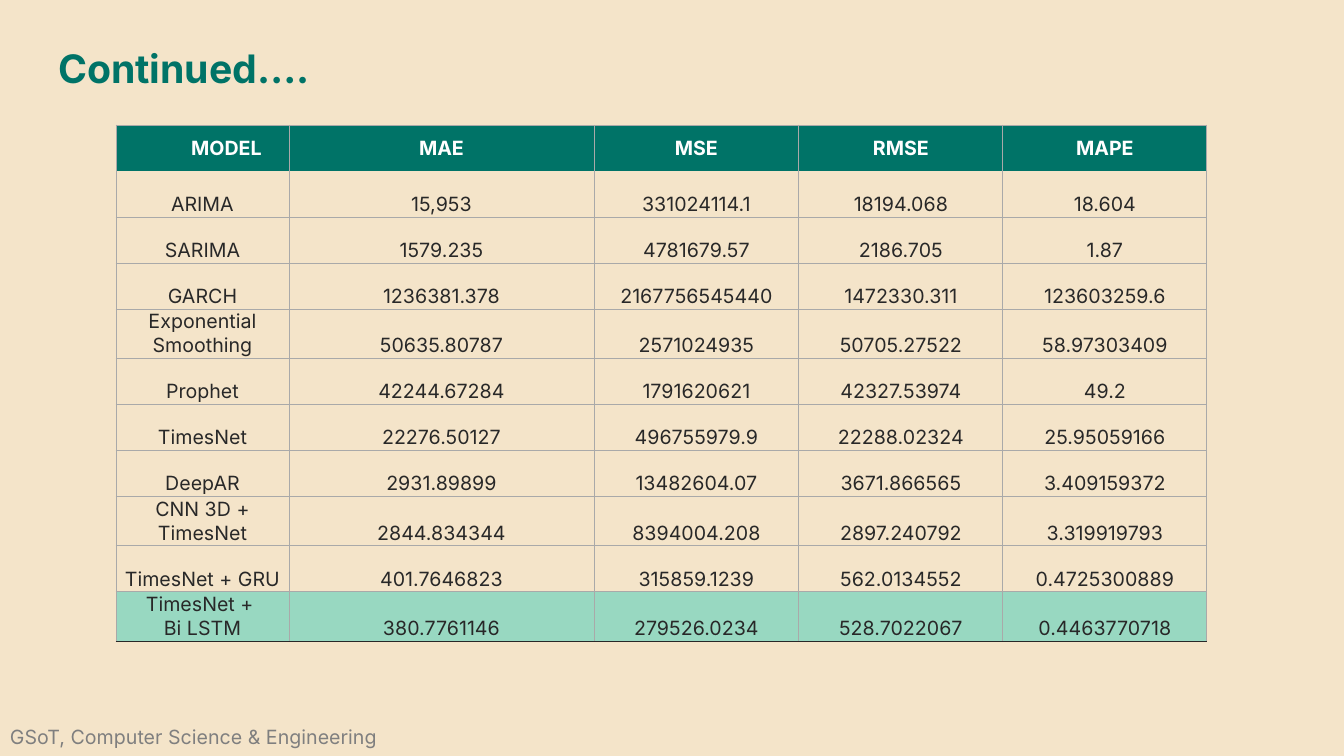
"""Build the slide that compares forecasting models by error metric."""
from lxml import etree
from pptx import Presentation, util as u
from pptx.dml.color import RGBColor
from pptx.enum import text
from pptx.oxml.ns import qn

PX = 914400 / 100.8
THEME = {
    "face": "Inter", "back": "F4E4C9", "green": "007367", "mint": "98D8C1",
    "white": "FFFFFF", "ink": "282828", "rule": "A9A9A9", "grey": "7F7F7F",
    "head": 28, "body": 14,
}


def px(n):
    return round(n * PX)


def style(para, color, size="body", bold=False):
    look = {"name": THEME["face"], "size": u.Pt(THEME[size]), "bold": bold}
    for key, val in look.items():
        setattr(para.font, key, val)
    para.font.color.rgb = RGBColor.from_string(THEME[color])


deck = Presentation()
deck.slide_width, deck.slide_height = px(1344), px(756)
slide = deck.slides.add_slide(deck.slide_layouts[5])
slide.background.fill.solid()
slide.background.fill.fore_color.rgb = RGBColor.from_string(THEME["back"])

title = slide.shapes.title
place = {"left": 48, "top": 45, "width": 1104, "height": 43}
for key, val in place.items():
    setattr(title, key, px(val))
frame = title.text_frame
form = {"text": "Continued….", "word_wrap": True,
        "auto_size": text.MSO_AUTO_SIZE.NONE,
        "vertical_anchor": text.MSO_ANCHOR.TOP}
for key, val in form.items():
    setattr(frame, key, val)
para = frame.paragraphs[0]
para.alignment = text.PP_ALIGN.LEFT
para.line_spacing = 0.9
style(para, "green", "head", True)

rows = [
    ("MODEL", "MAE", "MSE", "RMSE", "MAPE"),
    ("ARIMA", "15,953", "331024114.1", "18194.068", "18.604"),
    ("SARIMA", "1579.235", "4781679.57", "2186.705", "1.87"),
    ("GARCH", "1236381.378", "2167756545440", "1472330.311", "123603259.6"),
    ("Exponential Smoothing", "50635.80787", "2571024935", "50705.27522", "58.97303409"),
    ("Prophet", "42244.67284", "1791620621", "42327.53974", "49.2"),
    ("TimesNet", "22276.50127", "496755979.9", "22288.02324", "25.95059166"),
    ("DeepAR", "2931.89899", "13482604.07", "3671.866565", "3.409159372"),
    ("CNN 3D + TimesNet", "2844.834344", "8394004.208", "2897.240792", "3.319919793"),
    ("TimesNet + GRU", "401.7646823", "315859.1239", "562.0134552", "0.4725300889"),
    ("TimesNet + \nBi LSTM", "380.7761146", "279526.0234", "528.7022067", "0.4463770718"),
]
widths = [173, 305, 205, 204, 204]
last = len(rows) - 1
grid = slide.shapes.add_table(len(rows), len(widths), px(116), px(125),
                              px(sum(widths)), px(46 * len(rows))).table
grid.first_row = grid.horz_banding = False
for col, width in zip(grid.columns, widths):
    col.width = px(width)

for r, row in enumerate(rows):
    grid.rows[r].height = px(46)
    top = r == 0
    fill = "green" if top else "mint" if r == last else "back"
    sides = {"L": "rule", "R": "rule", "T": None if r == 1 else "rule",
             "B": None if top else "ink" if r == last else "rule"}
    for c, value in enumerate(row):
        cell = grid.cell(r, c)
        cell.text = value
        pads = (2, 1, 2, 1)
        if top:
            pads = (12, 6, 12, 6) if c else (48, 0, 0, 0)
        for side, pad in zip(("left", "top", "right", "bottom"), pads):
            setattr(cell, f"margin_{side}", px(pad))
        cell.vertical_anchor = text.MSO_ANCHOR.MIDDLE if top else text.MSO_ANCHOR.BOTTOM
        for para in cell.text_frame.paragraphs:
            para.alignment = text.PP_ALIGN.CENTER
            style(para, "white" if top else "ink", bold=top)
        props = cell._tc.get_or_add_tcPr()
        for side, color in sides.items():
            width = u.Pt(1 if color == "ink" else 0.75)
            line = etree.SubElement(props, qn(f"a:ln{side}"), w=str(width))
            if color:
                paint = etree.SubElement(line, qn("a:solidFill"))
                etree.SubElement(paint, qn("a:srgbClr"), val=THEME[color])
            else:
                etree.SubElement(line, qn("a:noFill"))
        cell.fill.solid()
        cell.fill.fore_color.rgb = RGBColor.from_string(THEME[fill])

foot = slide.shapes.add_textbox(0, px(720), px(528), px(34)).text_frame
form = {"text": "GSoT, Computer Science & Engineering", "word_wrap": True,
        "auto_size": text.MSO_AUTO_SIZE.SHAPE_TO_FIT_TEXT}
for key, val in form.items():
    setattr(foot, key, val)
style(foot.paragraphs[0], "grey")

deck.save("out.pptx")
